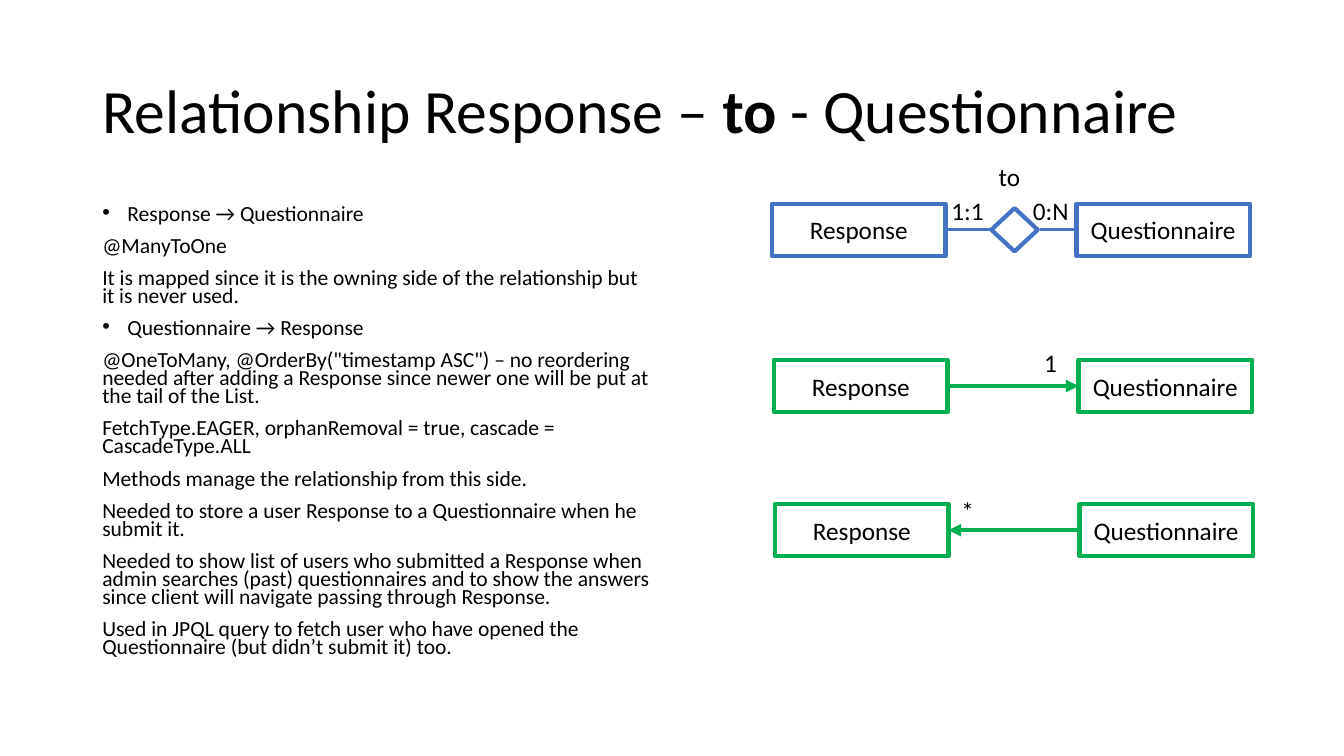
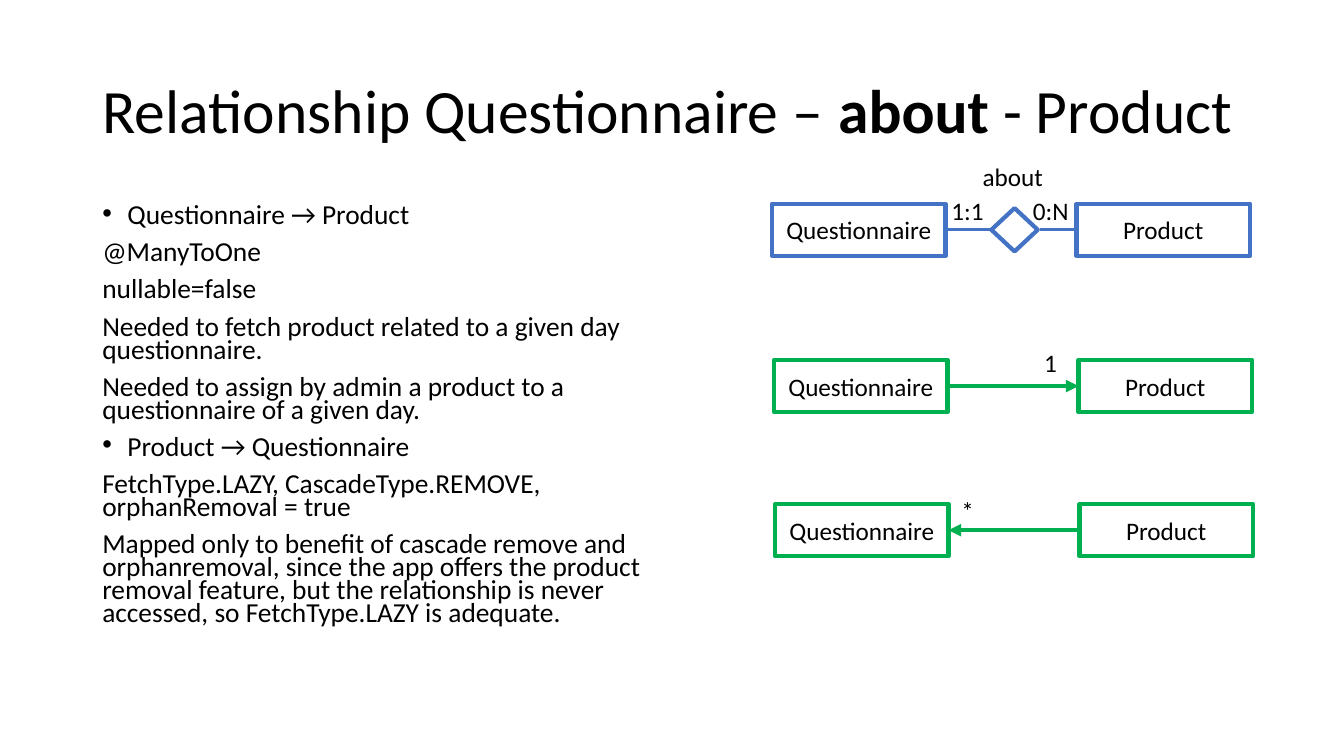
import pptx
import pptx.dml.color
import pptx.enum.shapes
import pptx.enum.text
import pptx.oxml
import pptx.oxml.ns
import pptx.util

Pt = pptx.util.Pt
RGBColor = pptx.dml.color.RGBColor
MSO_SHAPE = pptx.enum.shapes.MSO_SHAPE
MSO_CONNECTOR = pptx.enum.shapes.MSO_CONNECTOR
PP_ALIGN = pptx.enum.text.PP_ALIGN
MSO_ANCHOR = pptx.enum.text.MSO_ANCHOR
MSO_AUTO_SIZE = pptx.enum.text.MSO_AUTO_SIZE

BLACK = RGBColor(0x00, 0x00, 0x00)
WHITE = RGBColor(0xFF, 0xFF, 0xFF)
BLUE = RGBColor(0x44, 0x72, 0xC4)
GREEN = RGBColor(0x00, 0xB0, 0x50)
FONT = "Calibri"

TITLE_BOX = (66, 28.8, 828, 104.4)
NOTES_BOX = (66, 144, 408.24, 342.72)
ENTITY_WIDTH, ENTITY_HEIGHT = 123.84, 37.44
ENTITY_PITCH = 217.44
LABEL_HEIGHT = 29

MAPPINGS = [
    {
        "owner": "Response", "relation": "to", "target": "Questionnaire",
        "relation_label": (154.8, 30.24),
        "notes_size": 15.4,
        "notes": [
            ("heading", "Response → Questionnaire"),
            ("detail", "@ManyToOne"),
            ("detail", "It is mapped since it is the owning side of the relationship "
                       "but it is never used."),
            ("heading", "Questionnaire → Response"),
            ("detail", "@OneToMany, @OrderBy(\"timestamp ASC\") – no reordering needed "
                       "after adding a Response since newer one will be put at the tail "
                       "of the List."),
            ("detail", "FetchType.EAGER, orphanRemoval = true, cascade = CascadeType.ALL"),
            ("detail", "Methods manage the relationship from this side."),
            ("detail", "Needed to store a user Response to a Questionnaire when he submit it."),
            ("detail", "Needed to show list of users who submitted a Response when admin "
                       "searches (past) questionnaires and to show the answers since client "
                       "will navigate passing through Response."),
            ("detail", "Used in JPQL query to fetch user who have opened the Questionnaire "
                       "(but didn’t submit it) too."),
        ],
    },
    {
        "owner": "Questionnaire", "relation": "about", "target": "Product",
        "relation_label": (143.28, 58.32),
        "notes_size": 19.6,
        "notes": [
            ("heading", "Questionnaire → Product"),
            ("detail", "@ManyToOne"),
            ("detail", "nullable=false"),
            ("detail", "Needed to fetch product related to a given day questionnaire."),
            ("detail", "Needed to assign by admin a product to a questionnaire of a given day."),
            ("heading", "Product → Questionnaire"),
            ("detail", "FetchType.LAZY, CascadeType.REMOVE, orphanRemoval = true"),
            ("detail", "Mapped only to benefit of cascade remove and orphanremoval, since "
                       "the app offers the product removal feature, but the relationship is "
                       "never accessed, so FetchType.LAZY is adequate."),
        ],
    },
]


def add_run(paragraph, text, size, bold=False):
    run = paragraph.add_run()
    run.text = text
    run.font.name = FONT
    run.font.size = Pt(size)
    run.font.bold = bold
    run.font.color.rgb = BLACK


def add_title(slide, box, mapping):
    title = slide.shapes.title
    title.left, title.top, title.width, title.height = map(Pt, box)
    frame = title.text_frame
    frame.auto_size = MSO_AUTO_SIZE.NONE
    frame.vertical_anchor = MSO_ANCHOR.MIDDLE
    heading = frame.paragraphs[0]
    heading.alignment = PP_ALIGN.LEFT
    heading.line_spacing = 0.9
    add_run(heading, f"Relationship {mapping['owner']} – ", 44)
    add_run(heading, mapping["relation"], 44, bold=True)
    add_run(heading, f" - {mapping['target']}", 44)


def add_bullet(paragraph):
    properties = paragraph._p.get_or_add_pPr()
    properties.set("marL", str(Pt(18)))
    properties.set("indent", str(Pt(-18)))
    namespace = pptx.oxml.ns.nsdecls("a")
    properties.append(pptx.oxml.parse_xml(f'<a:buFont {namespace} typeface="Arial"/>'))
    properties.append(pptx.oxml.parse_xml(f'<a:buChar {namespace} char="•"/>'))


def add_notes(slide, box, notes, size):
    frame = slide.shapes.add_textbox(*map(Pt, box)).text_frame
    frame.word_wrap = True
    for index, (role, text) in enumerate(notes):
        note = frame.add_paragraph() if index else frame.paragraphs[0]
        note.line_spacing = 0.7
        note.space_before = Pt(10)
        if role == "heading":
            add_bullet(note)
        add_run(note, text, size)


def add_label(slide, left, top, width, text):
    label = slide.shapes.add_textbox(Pt(left), Pt(top), Pt(width), Pt(LABEL_HEIGHT))
    frame = label.text_frame
    frame.word_wrap = False
    frame.auto_size = MSO_AUTO_SIZE.SHAPE_TO_FIT_TEXT
    add_run(frame.paragraphs[0], text, 18)


def add_outlined(slide, kind, box, color, fill):
    outlined = slide.shapes.add_shape(kind, *map(Pt, box))
    outlined.shadow.inherit = False
    if fill is None:
        outlined.fill.background()
    else:
        outlined.fill.solid()
        outlined.fill.fore_color.rgb = fill
    outlined.line.color.rgb = color
    outlined.line.width = Pt(3)
    return outlined


def add_entities(slide, left, top, names, color, fill=None):
    for index, name in enumerate(names):
        box = (left + index * ENTITY_PITCH, top, ENTITY_WIDTH, ENTITY_HEIGHT)
        frame = add_outlined(slide, MSO_SHAPE.RECTANGLE, box, color, fill).text_frame
        frame.vertical_anchor = MSO_ANCHOR.MIDDLE
        frame.paragraphs[0].alignment = PP_ALIGN.CENTER
        add_run(frame.paragraphs[0], name, 18)


def add_link(slide, start, end, y, color, width, arrow=False):
    link = slide.shapes.add_connector(MSO_CONNECTOR.STRAIGHT, Pt(start), Pt(y), Pt(end), Pt(y))
    link.line.color.rgb = color
    link.line.width = Pt(width)
    namespace = pptx.oxml.ns.nsdecls("a")
    if arrow:
        link.line._get_or_add_ln().append(
            pptx.oxml.parse_xml(f'<a:tailEnd {namespace} type="triangle"/>'))
    link._element.spPr.append(pptx.oxml.parse_xml(f"<a:effectLst {namespace}/>"))


def add_er_diagram(slide, left, top, mapping):
    middle = top + ENTITY_HEIGHT / 2
    add_entities(slide, left, top, (mapping["owner"], mapping["target"]), BLUE, WHITE)
    diamond = add_outlined(slide, MSO_SHAPE.DIAMOND,
                           (left + 157.68, middle - 16.56, 30.96, 33.12), BLUE, WHITE)
    diamond.rotation = 90
    add_link(slide, left + ENTITY_PITCH, left + 191.5, middle, BLUE, 2.25)
    add_link(slide, left + 156.24, left + ENTITY_WIDTH, middle, BLUE, 2.25)
    add_label(slide, left + 120.96, top - 9.36, 38.16, "1:1")
    add_label(slide, left + 179.28, top - 9.36, 40.32, "0:N")
    label_offset, label_width = mapping["relation_label"]
    add_label(slide, left + label_offset, top - 33.5, label_width, mapping["relation"])


def add_direction(slide, left, top, mapping, forward, cardinality, label_offset):
    add_entities(slide, left, top, (mapping["owner"], mapping["target"]), GREEN)
    ends = (left + ENTITY_WIDTH, left + ENTITY_PITCH)
    start, end = ends if forward else ends[::-1]
    add_link(slide, start, end, top + ENTITY_HEIGHT / 2, GREEN, 3, arrow=True)
    label_left, label_top = label_offset
    add_label(slide, left + label_left, top + label_top, 23.76, cardinality)


def add_mapping_slide(deck, mapping):
    slide = deck.slides.add_slide(deck.slide_layouts[5])
    add_title(slide, TITLE_BOX, mapping)
    add_notes(slide, NOTES_BOX, mapping["notes"], mapping["notes_size"])
    add_er_diagram(slide, 551.52, 145.44, mapping)
    add_direction(slide, 552.96, 257.04, mapping, True, "1", (185.76, -12.6))
    add_direction(slide, 553.68, 360, mapping, False, "*", (126, -9.7))


def main():
    deck = pptx.Presentation()
    deck.slide_width, deck.slide_height = Pt(960), Pt(540)
    for mapping in MAPPINGS:
        add_mapping_slide(deck, mapping)
    deck.save("out.pptx")


if __name__ == "__main__":
    main()
